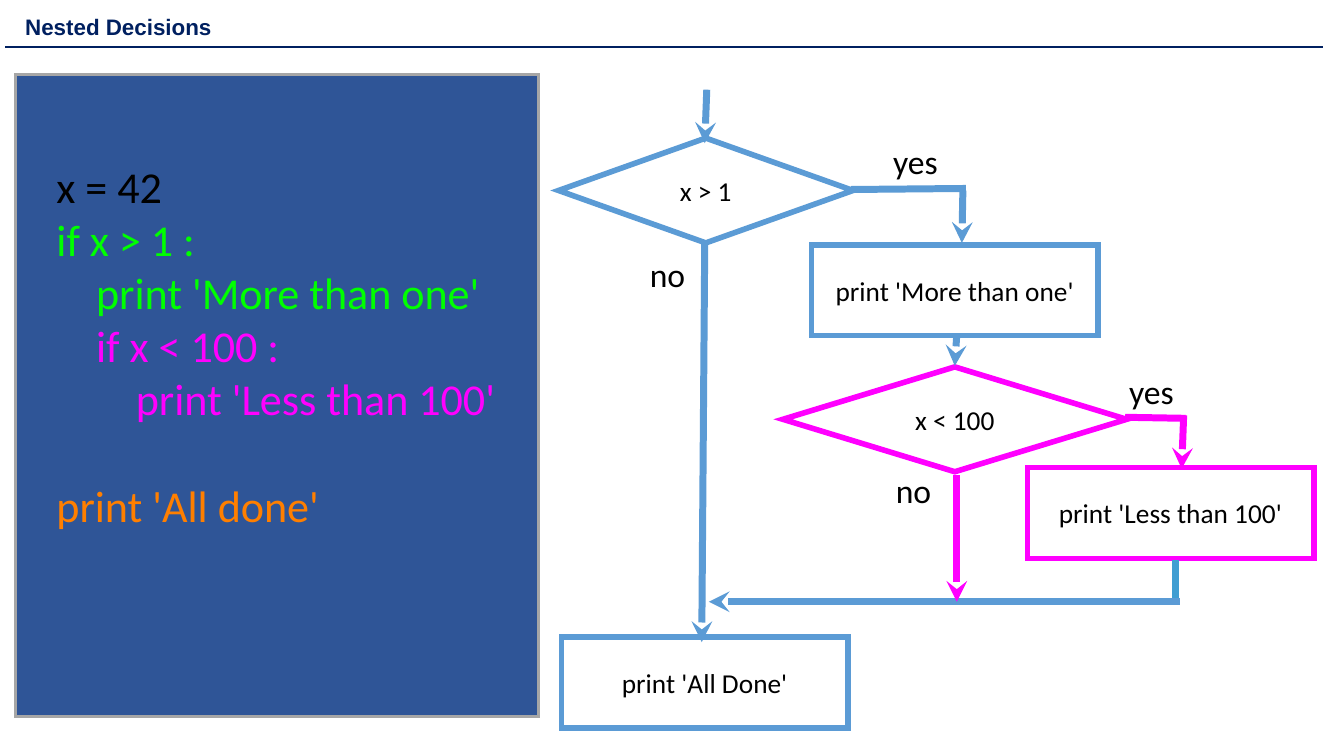
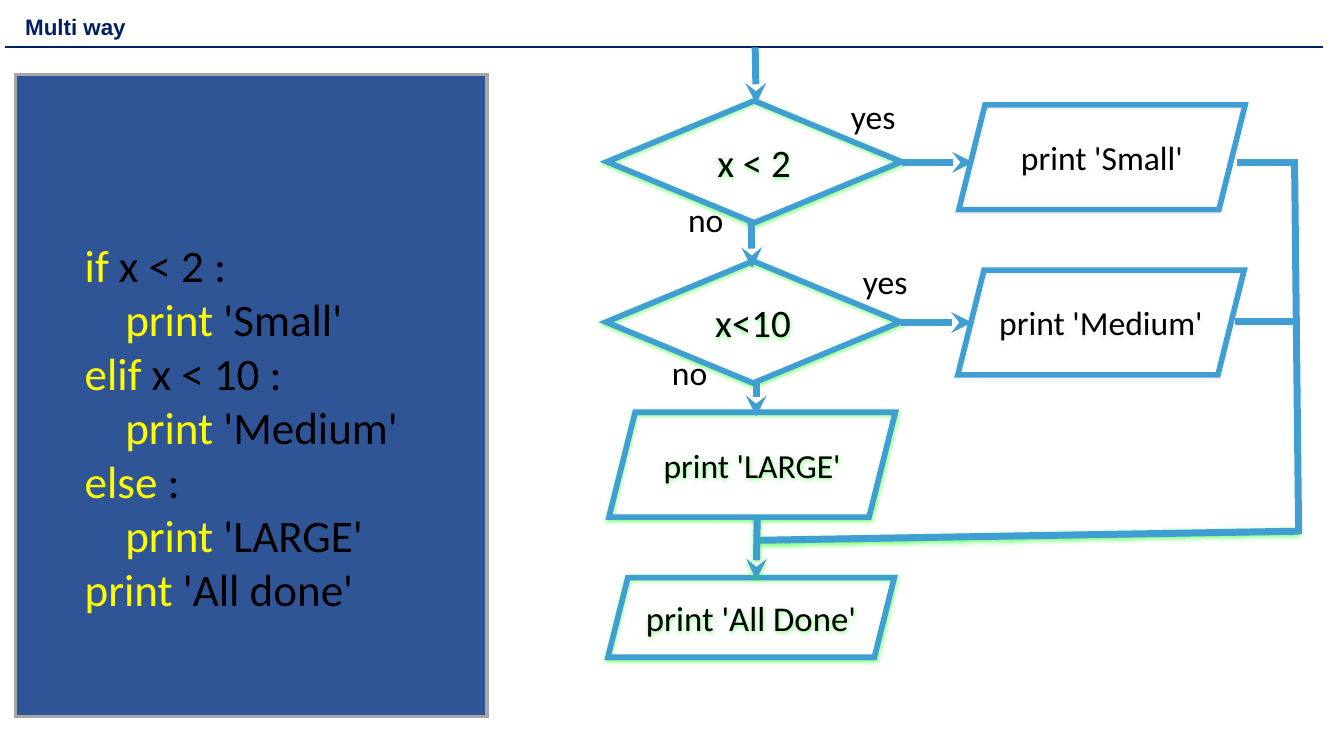
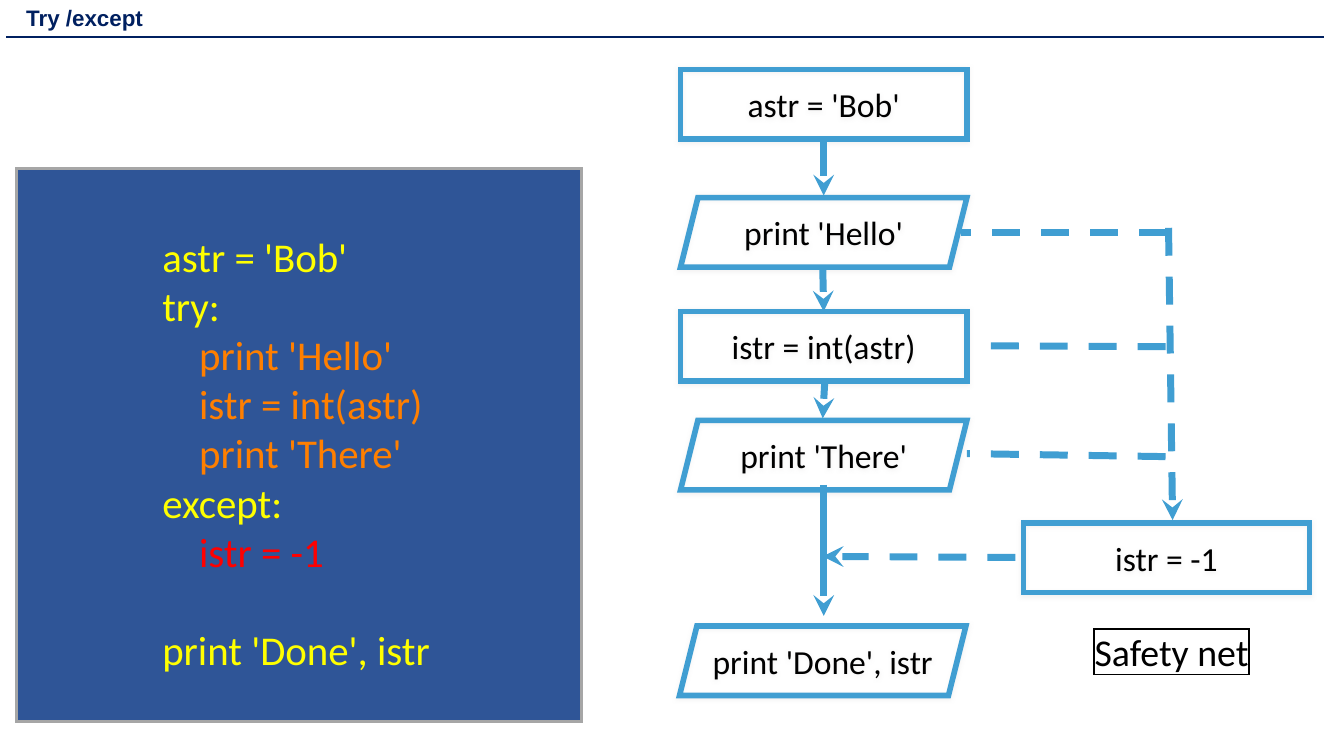
from lxml import etree
from pptx import Presentation
from pptx import util as u
from pptx.dml.color import RGBColor
from pptx.enum import dml, shapes, text
from pptx.oxml.ns import qn

NAVY = RGBColor(0x00, 0x20, 0x60)
PANEL = RGBColor(0x2F, 0x55, 0x97)
GREY = RGBColor(0xA6, 0xA6, 0xA6)
PALE = RGBColor(0xE7, 0xE6, 0xE6)
WHITE = RGBColor(0xFF, 0xFF, 0xFF)
BLACK = RGBColor(0, 0, 0)
BLUE = RGBColor(0x5B, 0x9B, 0xD5)
SKY = RGBColor(0x40, 0x9E, 0xD2)
PINK = RGBColor(0xFF, 0x00, 0xFF)
GREEN = RGBColor(0x00, 0xFF, 0x00)
GOLD = RGBColor(0xFF, 0xFF, 0x00)
AMBER = RGBColor(0xFF, 0x7F, 0x00)
RED = RGBColor(0xFF, 0x00, 0x00)

WIDE, HIGH = 13.33, 7.5
RECT = shapes.MSO_SHAPE.RECTANGLE
GEM = shapes.MSO_SHAPE.DIAMOND
SLANT = shapes.MSO_SHAPE.PARALLELOGRAM
LEFT, MID = text.PP_ALIGN.LEFT, text.PP_ALIGN.CENTER

# code: (indent level, blank lines above, runs)
# nodes: (shape, text, centre x, top, width, height, size, line, shadow)
# links: (start x, start y, end x, end y, colour, look), "a" arrow, "d" dash, "s" shadow
NESTED = dict(
    title="Nested Decisions", origin=(0.15, 0.1),
    panel=(0.15, 0.74, 5.19, 6.37),
    box=(0.56, 1.57, 4.4, 3.71), size=31.5,
    code=[
        (0, 0, [("x = 42", BLACK)]),
        (0, 0, [("if x > 1 :", GREEN)]),
        (1, 0, [("print 'More than one'", GREEN)]),
        (1, 0, [("if x < 100 :", PINK)]),
        (2, 0, [("print 'Less than 100'", PINK)]),
        (0, 1, [("print 'All done'", AMBER)]),
    ],
    nodes=[
        (GEM, "x > 1", 7, 1.37, 2.92, 1.04, 19.5, BLUE, None),
        (RECT, "print 'More than one'", 9.47, 2.43, 2.84, 0.9, 19.5, BLUE, None),
        (GEM, "x < 100", 9.47, 3.64, 3.41, 1.04, 19.5, PINK, None),
        (RECT, "print 'Less than 100'", 11.61, 4.64, 2.84, 0.9, 19.5, PINK, None),
        (RECT, "print 'All Done'", 6.99, 6.32, 2.84, 0.9, 19.5, BLUE, None),
    ],
    links=[
        (8.44, 1.88, 9.58, 1.87, BLUE, ""),
        (9.55, 1.89, 9.54, 2.41, BLUE, "a"),
        (6.99, 2.4, 6.96, 6.37, BLUE, "a"),
        (11.16, 4.14, 11.76, 4.15, PINK, ""),
        (11.74, 4.12, 11.72, 4.65, PINK, "a"),
        (9.49, 3.31, 9.47, 3.63, BLUE, "a"),
        (11.66, 5.56, 11.66, 5.96, SKY, ""),
        (11.7, 5.97, 7.03, 5.97, BLUE, "a"),
        (7.01, 0.89, 6.99, 1.42, BLUE, "a"),
        (9.49, 4.71, 9.49, 5.97, PINK, "a"),
    ],
    marks=[("yes", 9.08, 1.6), ("yes", 11.42, 3.88),
           ("no", 9.06, 4.86), ("no", 6.62, 2.72)],
)

MULTI = dict(
    title="Multi way", origin=(0.15, 0.1),
    panel=(0.15, 0.74, 4.68, 6.37),
    box=(0.84, 2.33, 3.15, 3.8), size=32.2,
    code=[
        (0, 0, [("if", GOLD), (" x < 2 :", BLACK)]),
        (1, 0, [("print", GOLD), (" 'Small'", BLACK)]),
        (0, 0, [("elif", GOLD), (" x < 10 :", BLACK)]),
        (1, 0, [("print", GOLD), (" 'Medium'", BLACK)]),
        (0, 0, [("else", GOLD), (" :", BLACK)]),
        (1, 0, [("print", GOLD), (" 'LARGE'", BLACK)]),
        (0, 0, [("print", GOLD), (" 'All done'", BLACK)]),
    ],
    nodes=[
        (GEM, "x < 2", 7.48, 1, 2.92, 1.21, 27.8, SKY, GREEN),
        (SLANT, "print 'Small'", 10.93, 1.04, 2.84, 1.04, 24, SKY, PALE),
        (GEM, "x<10", 7.47, 2.59, 2.92, 1.21, 27.8, SKY, GREEN),
        (SLANT, "print 'Medium'", 10.92, 2.68, 2.84, 1.04, 24, SKY, PALE),
        (SLANT, "print 'LARGE'", 7.46, 4.09, 2.84, 1.04, 24, SKY, GREEN),
        (SLANT, "print 'All Done'", 7.45, 5.73, 2.84, 0.79, 24.8, SKY, GREEN),
    ],
    links=[
        (8.95, 1.61, 9.65, 1.61, SKY, "a"),
        (12.88, 5.27, 7.54, 5.36, SKY, "s"),
        (12.84, 1.62, 12.88, 5.3, SKY, ""),
        (7.49, 0.47, 7.5, 1.03, SKY, "a"),
        (7.51, 5.14, 7.5, 5.75, SKY, "as"),
        (8.94, 3.2, 9.64, 3.2, SKY, "a"),
        (12.27, 1.61, 12.87, 1.61, SKY, ""),
        (12.25, 3.19, 12.85, 3.19, SKY, ""),
        (7.45, 2.2, 7.46, 2.66, SKY, "a"),
        (7.5, 3.8, 7.5, 4.13, SKY, "a"),
    ],
    marks=[("yes", 8.66, 1.15), ("no", 7, 2.17),
           ("yes", 8.78, 2.79), ("no", 6.84, 3.69)],
)

GUARD = dict(
    title="Try /except", origin=(0.16, 0.01),
    panel=(0.16, 1.67, 5.61, 5.49),
    box=(1.61, 2.28, 2.69, 4.43), size=29.2,
    code=[
        (0, 0, [("astr = 'Bob'", GOLD)]),
        (0, 0, [("try:", GOLD)]),
        (1, 0, [("print 'Hello'", AMBER)]),
        (1, 0, [("istr = int(astr)", AMBER)]),
        (1, 0, [("print 'There'", AMBER)]),
        (0, 0, [("except:", GOLD)]),
        (1, 0, [("istr = -1", RED)]),
        (0, 1, [("print 'Done', istr", GOLD)]),
    ],
    nodes=[
        (kind, label, mid, top, 2.84, 0.69, 24, SKY, PALE)
        for kind, label, mid, top in [
            (RECT, "astr = 'Bob'", 8.17, 0.69),
            (SLANT, "print 'Hello'", 8.17, 1.96),
            (RECT, "istr = int(astr)", 8.17, 3.09),
            (SLANT, "print 'There'", 8.17, 4.17),
            (SLANT, "print 'Done', istr", 8.16, 6.21),
            (RECT, "istr = -1", 11.57, 5.19),
        ]
    ],
    links=[
        (11.57, 2.31, 9.53, 2.31, SKY, "d"),
        (8.16, 2.65, 8.17, 3.09, SKY, "a"),
        (8.18, 3.79, 8.16, 4.15, SKY, "a"),
        (8.17, 4.81, 8.17, 6.11, SKY, "a"),
        (8.17, 1.39, 8.17, 1.94, SKY, "a"),
        (11.56, 3.44, 9.59, 3.43, SKY, "d"),
        (11.56, 4.53, 9.59, 4.5, SKY, "d"),
        (11.59, 2.26, 11.63, 5.16, SKY, "ad"),
        (10.07, 5.53, 8.16, 5.52, SKY, "ad"),
    ],
    marks=[],
    net=("Safety net", 10.85, 6.24, 1.54, 0.45),
)


def inch(*nums):
    return [u.Inches(n) for n in nums]


def effect(shape, tint=None):
    props = shape.element.spPr
    for old in props.findall(qn("a:effectLst")):
        props.remove(old)
    fx = etree.SubElement(props, qn("a:effectLst"))
    if tint is not None:
        cast = etree.SubElement(fx, qn("a:outerShdw"), blurRad=str(u.Pt(3)),
                                dist=str(u.Pt(1)), dir="5400000", rotWithShape="0")
        hue = etree.SubElement(cast, qn("a:srgbClr"), val=str(tint))
        etree.SubElement(hue, qn("a:alpha"), val="50000")


def block(slide, kind, area, fill, line, width, tint=None):
    shape = slide.shapes.add_shape(kind, *inch(*area))
    if fill is None:
        shape.fill.background()
    else:
        shape.fill.solid()
        shape.fill.fore_color.rgb = fill
    shape.line.color.rgb = line
    shape.line.width = u.Pt(width)
    etree.SubElement(shape.element.spPr.get_or_add_ln(), qn("a:miter"), lim="800000")
    effect(shape, tint)
    return shape


def write(shape, lines, size, align, wrap):
    frame = shape.text_frame
    frame.word_wrap = wrap
    frame.vertical_anchor = text.MSO_ANCHOR.MIDDLE
    frame.margin_left = frame.margin_right = 0
    frame.margin_top = frame.margin_bottom = 0
    for i, (level, gap, runs) in enumerate(lines):
        para = frame.add_paragraph() if i else frame.paragraphs[0]
        para.alignment = align
        para.font.size = u.Pt(size)
        para.font.name = "Calibri"
        if level:
            para._p.get_or_add_pPr().set("marL", str(u.Pt(0.9 * size * level)))
        if gap:
            para.space_before = u.Pt(round(1.22 * size * gap, 1))
        for words, hue in runs:
            run = para.add_run()
            run.text = words
            run.font.color.rgb = hue


def plain(words):
    return [(0, 0, [(words, BLACK)])]


def link(slide, ends, hue, width, look=""):
    line = slide.shapes.add_connector(shapes.MSO_CONNECTOR.STRAIGHT, *inch(*ends))
    line.line.color.rgb = hue
    line.line.width = u.Pt(width)
    if "d" in look:
        line.line.dash_style = dml.MSO_LINE.DASH
    if "a" in look:
        etree.SubElement(line.element.spPr.get_or_add_ln(), qn("a:tailEnd"), type="stealth")
    effect(line, GREEN if "s" in look else None)


def head(slide, words, left, top):
    title = slide.shapes.title
    title.left, title.top, title.width, title.height = inch(left, top, 9.04, 0.35)
    title.fill.solid()
    title.fill.fore_color.rgb = WHITE
    frame = title.text_frame
    frame.text = words
    frame.word_wrap = True
    frame.auto_size = text.MSO_AUTO_SIZE.NONE
    frame.vertical_anchor = text.MSO_ANCHOR.BOTTOM
    para = frame.paragraphs[0]
    para.alignment = LEFT
    para.line_spacing = 0.9
    para.font.size = u.Pt(16)
    para.font.name = "Arial"
    para.font.bold = True
    para.font.color.rgb = NAVY
    base = top + 0.37 if top > 0.05 else top + 0.36
    link(slide, (left - 0.1, base, left + 12.97, base), NAVY, 1.5)


def build(deck, page):
    slide = deck.slides.add_slide(deck.slide_layouts[5])
    head(slide, page["title"], *page["origin"])
    block(slide, RECT, page["panel"], PANEL, GREY, 2.25)
    code = slide.shapes.add_textbox(*inch(*page["box"]))
    write(code, page["code"], page["size"], LEFT, False)
    for kind, words, mid, top, wide, high, size, line, tint in page["nodes"]:
        area = (mid - wide / 2, top, wide, high)
        node = block(slide, kind, area, None, line, 4, tint)
        write(node, plain(words), size, MID, True)
    for *ends, hue, look in page["links"]:
        link(slide, ends, hue, 5, look)
    for words, mid, row in page["marks"]:
        mark = slide.shapes.add_textbox(*inch(mid - 0.23, row - 0.2, 0.46, 0.4))
        write(mark, plain(words), 24, MID, False)
    if "net" in page:
        words, *area = page["net"]
        write(block(slide, RECT, area, None, BLACK, 1), plain(words), 27, MID, False)


def main():
    deck = Presentation()
    deck.slide_width, deck.slide_height = inch(WIDE, HIGH)
    for page in (NESTED, MULTI, GUARD):
        build(deck, page)
    deck.save("out.pptx")


if __name__ == "__main__":
    main()
